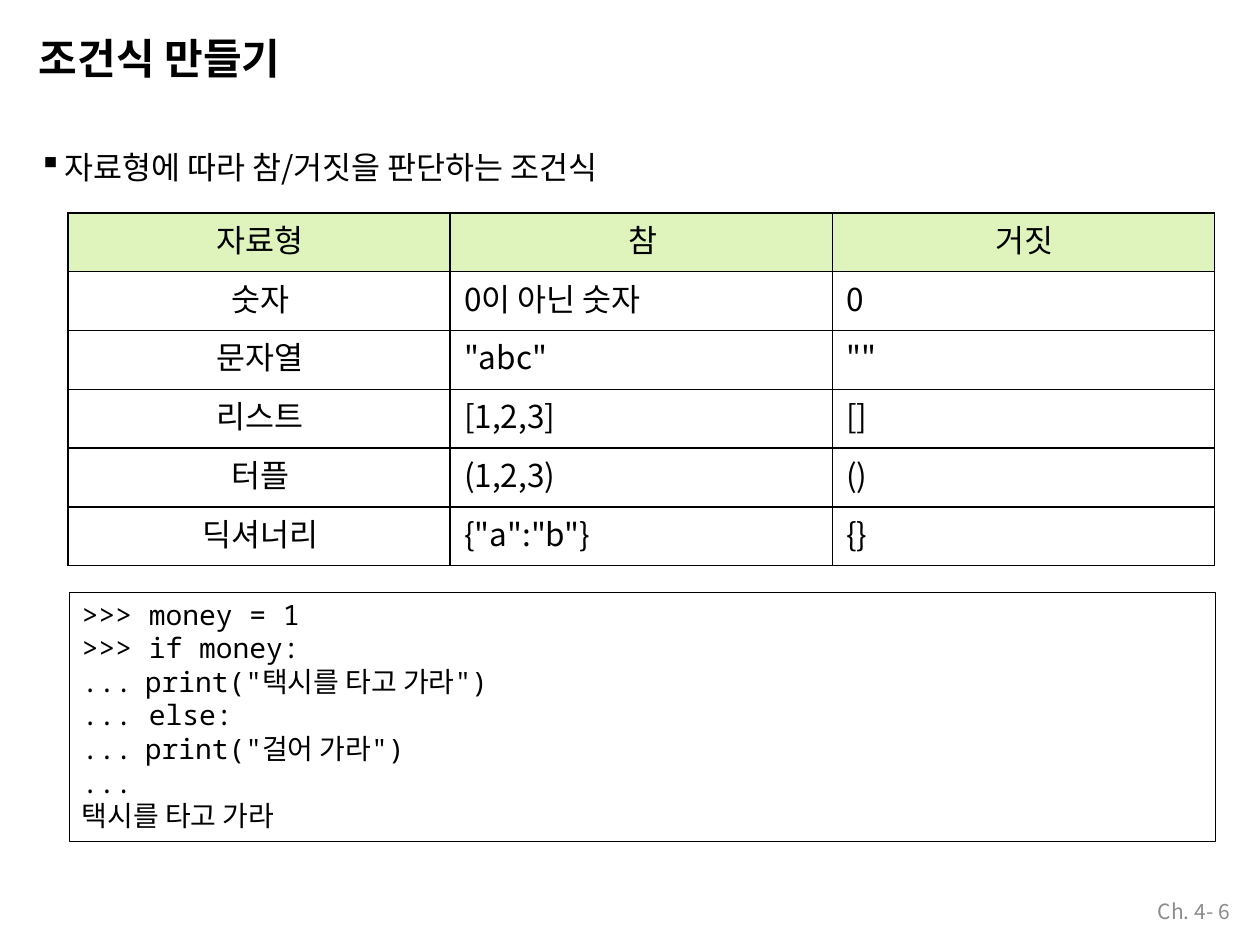
"""Build a slide on the truth values of Python data types."""
from lxml import etree
from pptx import Presentation, util as u
from pptx.dml.color import RGBColor
from pptx.enum import shapes, text
from pptx.oxml.ns import qn

KOREAN = "Noto Sans CJK KR"
MONO = "Noto Sans Mono"


def color(value):
    return RGBColor.from_string(value)


def write(frame, content, size=18, font=KOREAN, fill="000000", bold=False, align="LEFT",
          before=0, spacing=0.84, margins=(0, 0.01, 0, 0), anchor="TOP", indent=0,
          hanging=0, bullet=None, tab=None):
    frame.word_wrap = True
    frame.vertical_anchor = text.MSO_ANCHOR[anchor]
    frame.margin_left, frame.margin_top, frame.margin_right, frame.margin_bottom = map(u.Inches, margins)
    for index, line in enumerate(content.split("\n")):
        paragraph = frame.add_paragraph() if index else frame.paragraphs[0]
        paragraph.alignment = text.PP_ALIGN[align]
        paragraph.line_spacing = spacing
        paragraph.space_before = u.Pt(0 if index else before)
        properties = paragraph._p.get_or_add_pPr()
        properties.set("marL", str(u.Inches(indent)))
        properties.set("indent", str(u.Inches(-hanging)))
        if bullet:
            etree.SubElement(properties, qn("a:buChar"), char=bullet)
        if tab:
            tabs = etree.SubElement(properties, qn("a:tabLst"))
            etree.SubElement(tabs, qn("a:tab"), pos=str(u.Inches(tab)), algn="l")
        run = paragraph.add_run()
        run.text = line
        run.font.size, run.font.bold, run.font.name = u.Pt(size), bold, font
        run.font.color.rgb = color(fill)
        etree.SubElement(run._r.get_or_add_rPr(), qn("a:ea"), typeface=KOREAN)


presentation = Presentation()
presentation.slide_width, presentation.slide_height = u.Inches(10), u.Inches(7.5)
slide = presentation.slides.add_slide(presentation.slide_layouts[6])

code = """>>> money = 1
>>> if money:
...\tprint("택시를 타고 가라")
... else:
...\tprint("걸어 가라")
...
택시를 타고 가라"""

frame_shape = slide.shapes.add_shape(
    shapes.MSO_SHAPE.RECTANGLE, u.Inches(0.55), u.Inches(4.7), u.Inches(9.1), u.Inches(1.98))
frame_shape.shadow.inherit = False
frame_shape.fill.background()
frame_shape.line.color.rgb = color("000000")
frame_shape.line.width = u.Pt(0.6)

text_boxes = [
    ((0.31, 0.31, 6, 0.43), "조건식 만들기", dict(size=24, bold=True, before=1)),
    ((0.31, 1.21, 8, 0.33), "자료형에 따라 참/거짓을 판단하는 조건식",
     dict(before=1, indent=0.2, hanging=0.2, bullet="▪")),
    ((0.65, 4.72, 8.9, 1.9), code,
     dict(size=16, font=MONO, before=1.2, spacing=u.Pt(19.2), margins=(0, 0.02, 0, 0), tab=0.97)),
    ((8.8, 7.15, 0.96, 0.2), "Ch. 4- 6",
     dict(size=12, fill="8C8C8C", align="RIGHT", anchor="MIDDLE", margins=(0, 0, 0, 0))),
]
for box, content, style in text_boxes:
    write(slide.shapes.add_textbox(*map(u.Inches, box)).text_frame, content, **style)

rows = [
    ("자료형", "참", "거짓"),
    ("숫자", "0이 아닌 숫자", "0"),
    ("문자열", '"abc"', '""'),
    ("리스트", "[1,2,3]", "[]"),
    ("터플", "(1,2,3)", "()"),
    ("딕셔너리", '{"a":"b"}', "{}"),
]
table = slide.shapes.add_table(
    len(rows), 3, u.Inches(0.54), u.Inches(1.69), u.Inches(9.1), u.Inches(2.8)).table
for row_index, row in enumerate(rows):
    for column_index, content in enumerate(row):
        cell = table.cell(row_index, column_index)
        centered = row_index == 0 or column_index == 0
        write(cell.text_frame, content, before=5.6, align="CENTER" if centered else "LEFT",
              indent=0.02 if centered else 0.11)
        cell.margin_left = cell.margin_right = cell.margin_bottom = 0
        cell.margin_top = u.Inches(0.07)
        cell_properties = cell._tc.get_or_add_tcPr()
        for side in ("lnL", "lnR", "lnT", "lnB"):
            border = etree.SubElement(cell_properties, qn(f"a:{side}"), w=str(u.Pt(1)))
            border_fill = etree.SubElement(border, qn("a:solidFill"))
            etree.SubElement(border_fill, qn("a:srgbClr"), val="000000")
        cell.fill.solid()
        cell.fill.fore_color.rgb = color("FFFFFF" if row_index else "DFF4BD")

presentation.save("out.pptx")
